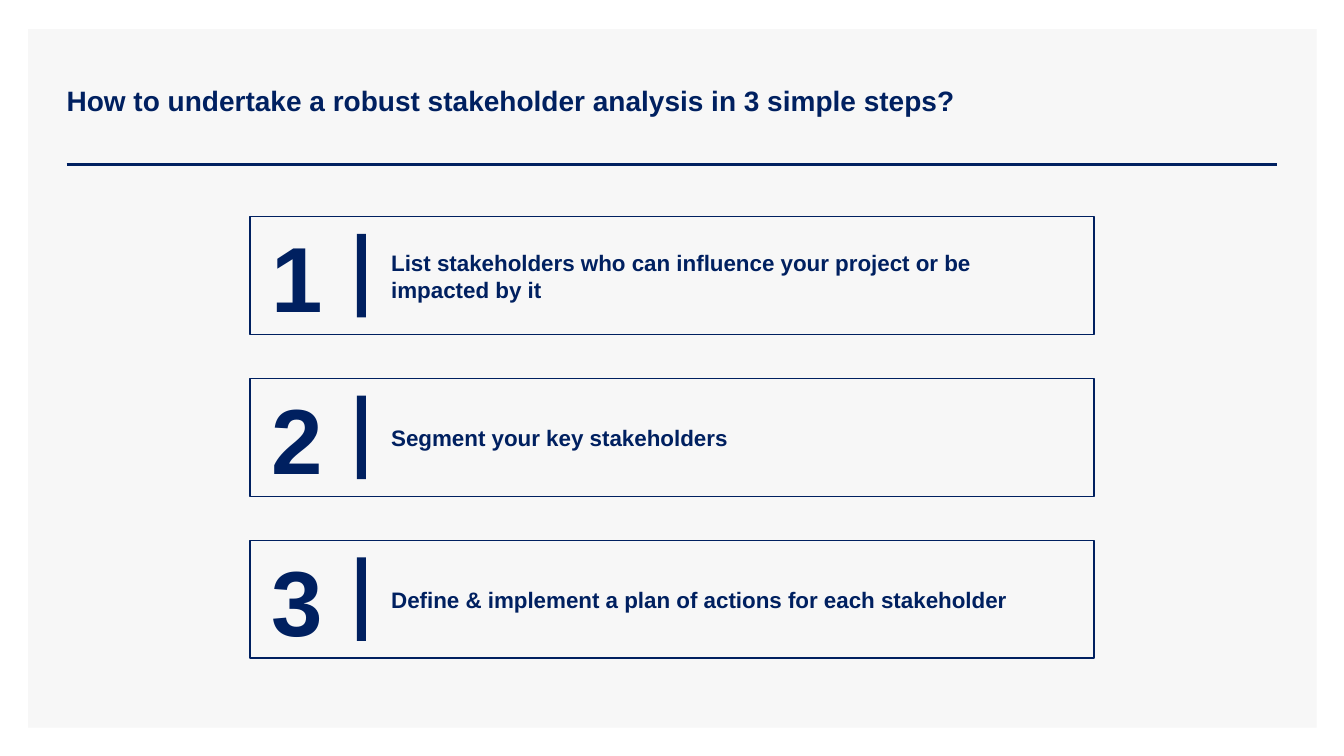
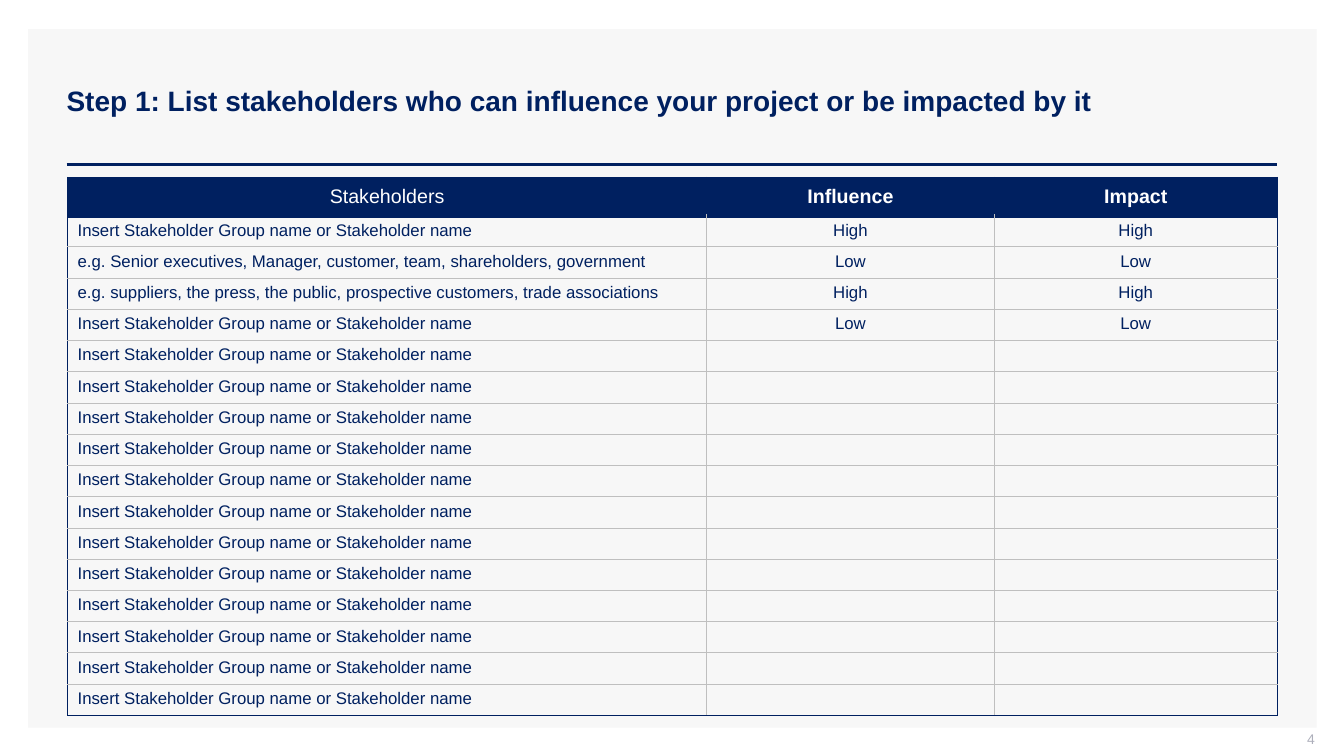
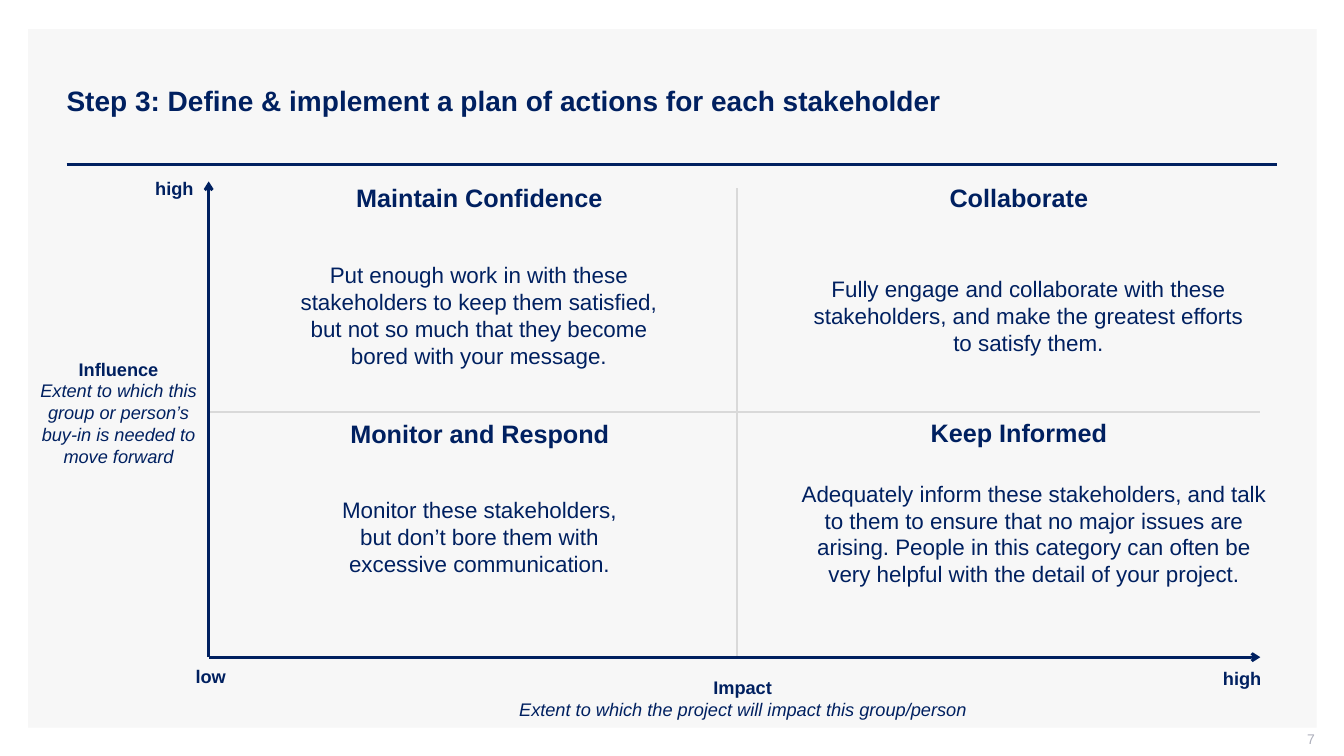
from dataclasses import dataclass

from lxml.etree import SubElement
from pptx import Presentation
from pptx.dml.color import RGBColor
from pptx.enum.shapes import MSO_CONNECTOR, MSO_SHAPE
from pptx.enum.text import MSO_ANCHOR, MSO_AUTO_SIZE, PP_ALIGN
from pptx.oxml.ns import qn
from pptx.util import Inches, Pt


@dataclass(frozen=True)
class Theme:
    font: str = "Arial"
    navy: str = "002060"
    panel: str = "F7F7F7"
    white: str = "FFFFFF"
    grid: str = "BFBFBF"
    divider: str = "D9D9D9"
    page_number: str = "ADAFBB"
    title_size: int = 20
    number_size: int = 66
    heading_size: int = 18
    body_size: int = 16
    table_header_size: int = 14
    axis_size: int = 13
    table_size: int = 12
    page_size: int = 10


THEME = Theme()
LEFT, CENTER, RIGHT = PP_ALIGN.LEFT, PP_ALIGN.CENTER, PP_ALIGN.RIGHT
TOP, MIDDLE = MSO_ANCHOR.TOP, MSO_ANCHOR.MIDDLE

# Positions are in inches: left, top, width, height
PANEL = (0.28, 0.29, 12.78, 6.93)
TITLE = (0.56, 0.4, 12.11, 1.19)
TITLE_RULE = ((0.66, 1.63), (12.67, 1.63))
PAGE_NUMBER = (10.04, 7.25, 3, 0.21)

STEPS_TITLE = "How to undertake a robust stakeholder analysis in 3 simple steps?"
STEPS = [
    "List stakeholders who can influence your project or be impacted by it",
    "Segment your key stakeholders",
    "Define & implement a plan of actions for each stakeholder",
]
FIRST_STEP_TOP, LAST_STEP_TOP, STEP_HEIGHT = 2.15, 5.36, 1.17

LIST_TITLE = f"Step 1: {STEPS[0]}"
PLACEHOLDER_NAME = "Insert Stakeholder Group name or Stakeholder name"
STAKEHOLDERS = [
    ("Stakeholders", "Influence", "Impact"),
    (PLACEHOLDER_NAME, "High", "High"),
    ("e.g. Senior executives, Manager, customer, team, shareholders, government", "Low", "Low"),
    ("e.g. suppliers, the press, the public, prospective customers, trade associations", "High", "High"),
    (PLACEHOLDER_NAME, "Low", "Low"),
] + [(PLACEHOLDER_NAME, "", "")] * 12
COLUMN_WIDTHS = (6.34, 2.85, 2.81)
HEADER_HEIGHT, ROW_HEIGHT = 0.38, 0.31

PLAN_TITLE = f"Step 3: {STEPS[2]}"
AXIS_LEFT, AXIS_RIGHT, AXIS_TOP, AXIS_BOTTOM = 2.07, 12.5, 1.8, 6.52
DIVIDER_X, DIVIDER_Y = 7.31, 4.09
QUADRANTS = [
    ("Maintain Confidence", (3.45, 1.77, 2.61, 0.37),
     "Put enough work in with these stakeholders to keep them satisfied, "
     "but not so much that they become bored with your message.", (2.91, 2.55, 3.68, 1.15)),
    ("Collaborate", (9.34, 1.77, 1.53, 0.37),
     "Fully engage and collaborate with these stakeholders, "
     "and make the greatest efforts to satisfy them.", (7.91, 2.69, 4.58, 0.88)),
    ("Monitor and Respond", (3.39, 4.11, 2.74, 0.37),
     "Monitor these stakeholders, but don’t bore them with excessive communication.",
     (3.19, 4.88, 3.13, 0.88)),
    ("Keep Informed", (9.15, 4.1, 1.91, 0.37),
     "Adequately inform these stakeholders, and talk to them to ensure that no major issues "
     "are arising. People in this category can often be very helpful with the detail of your "
     "project.", (7.86, 4.72, 4.79, 1.15)),
]
AXIS_ENDS = [
    ("high", (1.47, 1.72, 0.53, 0.29)),
    ("low", (1.87, 6.56, 0.45, 0.29)),
    ("high", (12.06, 6.58, 0.53, 0.29)),
]
AXIS_CAPTIONS = [
    ("Influence", "Extent to which this group or person’s buy-in is needed to move forward",
     (0.22, 3.51, 1.91, 1.16)),
    ("Impact", "Extent to which the project will impact this group/person",
     (4.64, 6.67, 5.45, 0.61)),
]


def inches(values):
    return [Inches(value) for value in values]


def write(paragraph, text, size, color=THEME.navy, bold=False, italic=False, align=LEFT):
    paragraph.alignment = align
    if not text:
        # An empty paragraph takes its height from its end mark
        SubElement(paragraph._p, qn("a:endParaRPr"), sz=str(size * 100))
        return
    run = paragraph.add_run()
    run.text = text
    font = run.font
    font.name, font.size, font.bold, font.italic = THEME.font, Pt(size), bold, italic
    font.color.rgb = RGBColor.from_string(color)


def add_text(slide, at, text, anchor=TOP, wrap=True, insets=(0.07, 0.04, 0.07, 0.04), **style):
    frame = slide.shapes.add_textbox(*inches(at)).text_frame
    frame.word_wrap = wrap
    frame.auto_size = MSO_AUTO_SIZE.NONE
    frame.vertical_anchor = anchor
    frame.margin_left, frame.margin_top, frame.margin_right, frame.margin_bottom = inches(insets)
    write(frame.paragraphs[0], text, **style)
    return frame


def add_rectangle(slide, at, fill=None, line=None):
    shape = slide.shapes.add_shape(MSO_SHAPE.RECTANGLE, *inches(at))
    shape.shadow.inherit = False
    if fill:
        shape.fill.solid()
        shape.fill.fore_color.rgb = RGBColor.from_string(fill)
    else:
        shape.fill.background()
    if line:
        shape.line.color.rgb = RGBColor.from_string(line)
        shape.line.width = Pt(1)
    else:
        shape.line.fill.background()
    return shape


def add_line(slide, start, end, color=THEME.navy, width=2, arrow=False):
    line = slide.shapes.add_connector(MSO_CONNECTOR.STRAIGHT, *inches(start + end))
    line.line.color.rgb = RGBColor.from_string(color)
    line.line.width = Pt(width)
    properties = line.element.spPr
    if arrow:
        SubElement(properties.find(qn("a:ln")), qn("a:tailEnd"), type="arrow")
    SubElement(properties, qn("a:effectLst"))
    return line


def prepare_layout(layout, slide):
    """Set the title's place and move the panel and title rule behind it on the layout."""
    title = layout.placeholders[0]
    title.left, title.top, title.width, title.height = inches(TITLE)
    backdrop = [add_rectangle(slide, PANEL, fill=THEME.panel), add_line(slide, *TITLE_RULE)]
    for position, shape in enumerate(backdrop, start=2):
        layout.shapes.element.insert(position, shape.element)


def add_slide(presentation, layout, title, page=None):
    slide = presentation.slides.add_slide(layout)
    frame = slide.shapes.title.text_frame
    frame.auto_size = MSO_AUTO_SIZE.NONE
    frame.vertical_anchor = MIDDLE
    write(frame.paragraphs[0], title, size=THEME.title_size, bold=True)
    if page:
        add_text(slide, PAGE_NUMBER, page, anchor=MIDDLE, insets=(0.1, 0, 0, 0.05),
                 size=THEME.page_size, color=THEME.page_number, align=RIGHT)
    return slide


def fill_steps(slide):
    pitch = (LAST_STEP_TOP - FIRST_STEP_TOP) / (len(STEPS) - 1)
    centered = {"anchor": MIDDLE, "insets": (0, 0, 0, 0), "bold": True}
    for index, step in enumerate(STEPS):
        top = FIRST_STEP_TOP + index * pitch
        add_rectangle(slide, (2.48, top, 8.37, STEP_HEIGHT), line=THEME.navy)
        add_text(slide, (2.56, top, 0.77, STEP_HEIGHT), str(index + 1),
                 size=THEME.number_size, align=CENTER, **centered)
        add_text(slide, (3.88, top, 6.7, STEP_HEIGHT), step, size=THEME.body_size, **centered)
        add_rectangle(slide, (3.54, top + 0.17, 0.09, 0.83), fill=THEME.navy)


def set_borders(cell, borders):
    properties = cell._tc.get_or_add_tcPr()
    for side in "LRTB":
        color, width = borders[side]
        line = SubElement(properties, qn(f"a:ln{side}"), w=str(Pt(width)))
        SubElement(SubElement(line, qn("a:solidFill")), qn("a:srgbClr"), val=color)


def cell_borders(row, column, last_row, last_column):
    """Navy round the table and its header, grey between the body cells."""
    navy, grey = (THEME.navy, 0.75), (THEME.grid, 0.75)
    header = row == 0
    return {
        "L": navy if header or column == 0 else grey,
        "R": navy if header or column == last_column else grey,
        "T": navy if row <= 1 else grey,
        "B": (THEME.navy, 3) if header else navy if row == last_row else grey,
    }


def fill_stakeholder_list(slide):
    row_heights = [HEADER_HEIGHT] + [ROW_HEIGHT] * (len(STAKEHOLDERS) - 1)
    at = (0.67, 1.76, sum(COLUMN_WIDTHS), sum(row_heights))
    table = slide.shapes.add_table(len(row_heights), len(COLUMN_WIDTHS), *inches(at)).table
    table.first_row = table.horz_banding = False
    for column, width in zip(table.columns, COLUMN_WIDTHS):
        column.width = Inches(width)
    for row, height in zip(table.rows, row_heights):
        row.height = Inches(height)

    for row, texts in enumerate(STAKEHOLDERS):
        for column, text in enumerate(texts):
            cell = table.cell(row, column)
            set_borders(cell, cell_borders(row, column, len(STAKEHOLDERS) - 1, len(texts) - 1))
            paragraph = cell.text_frame.paragraphs[0]
            if row == 0:
                cell.fill.solid()
                cell.fill.fore_color.rgb = RGBColor.from_string(THEME.navy)
                cell.vertical_anchor = MIDDLE
                write(paragraph, text, size=THEME.table_header_size, color=THEME.white,
                      bold=column > 0, align=CENTER)
            else:
                cell.fill.background()
                write(paragraph, text, size=THEME.table_size, align=CENTER if column else LEFT)


def fill_action_plan(slide):
    origin = (AXIS_LEFT, AXIS_BOTTOM)
    divider = {"color": THEME.divider, "width": 1.5}
    add_line(slide, (AXIS_LEFT, DIVIDER_Y), (AXIS_RIGHT, DIVIDER_Y), **divider)
    add_line(slide, (DIVIDER_X, AXIS_BOTTOM), (DIVIDER_X, 1.87), **divider)
    add_line(slide, origin, (AXIS_LEFT, AXIS_TOP), arrow=True)
    add_line(slide, origin, (AXIS_RIGHT, AXIS_BOTTOM), arrow=True)

    for heading, heading_at, advice, advice_at in QUADRANTS:
        add_text(slide, heading_at, heading, wrap=False, size=THEME.heading_size,
                 bold=True, align=CENTER)
        add_text(slide, advice_at, advice, size=THEME.body_size, align=CENTER)
    for label, at in AXIS_ENDS:
        add_text(slide, at, label, wrap=False, size=THEME.axis_size, bold=True)
    for name, meaning, at in AXIS_CAPTIONS:
        frame = add_text(slide, at, name, size=THEME.axis_size, bold=True, align=CENTER)
        write(frame.add_paragraph(), meaning, size=THEME.axis_size, italic=True, align=CENTER)


def main():
    presentation = Presentation()
    presentation.slide_width, presentation.slide_height = Inches(13.33), Inches(7.5)
    layout = presentation.slide_layouts.get_by_name("Title Only")

    steps = add_slide(presentation, layout, STEPS_TITLE)
    prepare_layout(layout, steps)
    fill_steps(steps)
    fill_stakeholder_list(add_slide(presentation, layout, LIST_TITLE, page="4"))
    fill_action_plan(add_slide(presentation, layout, PLAN_TITLE, page="7"))

    presentation.save("out.pptx")


if __name__ == "__main__":
    main()
